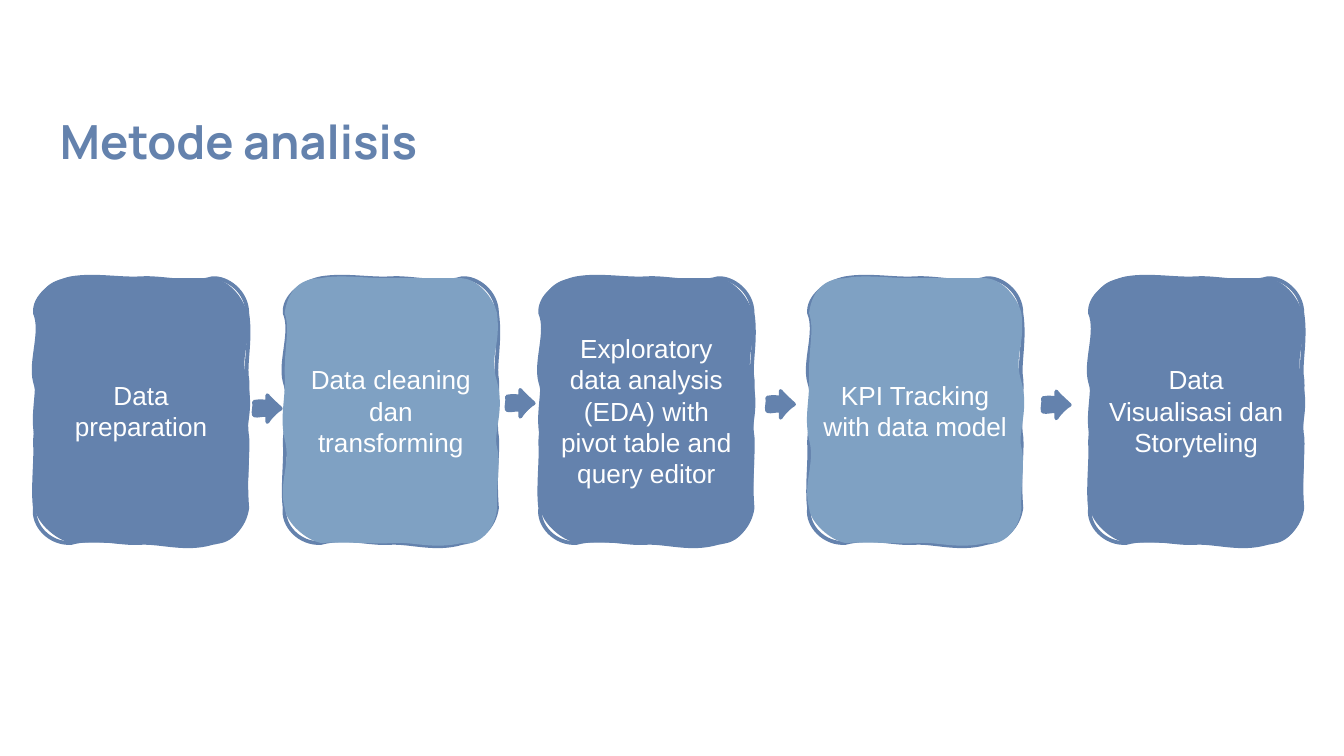
import pptx
import pptx.dml.color
import pptx.enum.text
import pptx.oxml
import pptx.oxml.ns
import pptx.util
from pptx.util import Cm

# Content: text, left edge in cm
TITLE = "Metode analisis"
STEPS = [
    ("Data preparation", 0.66),
    ("Data cleaning dan transforming", 5.38),
    ("Exploratory data analysis (EDA) with pivot table and query editor", 10.21),
    ("KPI Tracking with data model", 15.29),
    ("Data Visualisasi dan Storyteling", 20.6),
]
ARROWS = [(4.8, 7.47), (9.58, 7.37), (14.5, 7.39), (19.71, 7.4)]  # left, top
STEP_TOP = 5.26
BLUE, LIGHT_BLUE, WHITE = "6482AD", "7FA1C3", "FFFFFF"

# Hand-drawn outlines on a grid of 0.0254 cm: each curve is two controls and an end
UNIT = Cm(0.0254)
CARD = {
    "size": (158, 197),
    "start": (0, 26),
    "stroke": [
        (-1, 14, 12, 3, 27, 0), (45, -3, 63, 1, 79, 0), (95, -1, 115, 5, 132, 0),
        (143, -1, 158, 10, 158, 26), (161, 46, 156, 64, 158, 75),
        (159, 85, 156, 107, 158, 118), (159, 130, 156, 146, 158, 171),
        (156, 185, 146, 195, 132, 197), (112, 203, 93, 196, 78, 197),
        (63, 198, 46, 192, 27, 197), (11, 198, -2, 184, 0, 171),
        (-2, 157, 1, 134, 0, 123), (0, 111, 5, 93, 0, 77), (-4, 62, 6, 40, 0, 26),
    ],
    "fill": [
        (2, 11, 10, 0, 27, 0), (40, -3, 61, 0, 76, 0), (91, 0, 115, 0, 132, 0),
        (144, 1, 155, 14, 158, 26), (161, 51, 152, 57, 158, 77),
        (164, 98, 155, 115, 158, 126), (161, 136, 157, 159, 158, 171),
        (157, 187, 144, 200, 132, 197), (111, 202, 95, 196, 81, 197),
        (67, 198, 49, 196, 27, 197), (16, 195, 1, 182, 0, 171),
        (-5, 152, 5, 138, 0, 120), (-4, 102, 1, 91, 0, 70), (0, 49, 4, 38, 0, 26),
    ],
}
ARROW = {
    "size": (20, 20),
    "start": (0, 5),
    "stroke": [
        (5, 4, 9, 5, 10, 5), (10, 3, 10, 1, 10, 0), (11, 2, 18, 8, 20, 10),
        (18, 11, 13, 15, 10, 20), (10, 19, 10, 17, 10, 15),
        (7, 14, 3, 16, 0, 15), (-1, 12, 1, 8, 0, 5),
    ],
    "fill": [
        (4, 5, 8, 5, 10, 5), (10, 4, 10, 1, 10, 0), (12, 4, 18, 9, 20, 10),
        (16, 15, 13, 18, 10, 20), (10, 18, 10, 16, 10, 15),
        (7, 14, 1, 15, 0, 15), (-1, 11, 0, 9, 0, 5),
    ],
}


def color(hex_value):
    return pptx.dml.color.RGBColor.from_string(hex_value)


def curve_path(outline, part):
    """Return one closed a:path, either stroked only or filled only."""
    def point(x, y):
        return f'<a:pt x="{x}" y="{y}"/>'

    width, height = outline["size"]
    paint = 'fill="none"' if part == "stroke" else 'stroke="0"'
    curves = "".join(
        "<a:cubicBezTo>"
        + "".join(point(*curve[i:i + 2]) for i in (0, 2, 4))
        + "</a:cubicBezTo>"
        for curve in outline[part]
    )
    return pptx.oxml.parse_xml(
        f'<a:path {pptx.oxml.ns.nsdecls("a")} w="{width}" h="{height}" {paint}>'
        f'<a:moveTo>{point(*outline["start"])}</a:moveTo>{curves}<a:close/></a:path>'
    )


def add_sketch(slide, outline, left, top, fill):
    """Add a freeform whose straight frame is replaced by the sketched curves."""
    width, height = outline["size"]
    builder = slide.shapes.build_freeform(0, 0, scale=UNIT)
    builder.add_line_segments([(width, 0), (width, height), (0, height)])
    shape = builder.convert_to_shape(Cm(left), Cm(top))
    path_list = shape.element.find(".//" + pptx.oxml.ns.qn("a:pathLst"))
    path_list[:] = [curve_path(outline, part) for part in ("stroke", "fill")]
    shape.shadow.inherit = False
    shape.fill.solid()
    shape.fill.fore_color.rgb = color(fill)
    shape.line.color.rgb = color(BLUE)
    shape.line.width = pptx.util.Pt(2)
    return shape


def set_text(shape, text, size, font_name, hex_value, alignment, bold=False):
    frame = shape.text_frame
    frame.text = text
    frame.word_wrap = True
    frame.auto_size = pptx.enum.text.MSO_AUTO_SIZE.NONE
    frame.vertical_anchor = pptx.enum.text.MSO_ANCHOR.MIDDLE
    frame.margin_left = frame.margin_right = Cm(0.25)
    frame.margin_top = frame.margin_bottom = Cm(0.25)
    paragraph = frame.paragraphs[0]
    paragraph.alignment = alignment
    font = paragraph.runs[0].font
    font.size = pptx.util.Pt(size)
    font.name = font_name
    font.bold = bold
    font.color.rgb = color(hex_value)


def main():
    presentation = pptx.Presentation()
    presentation.slide_width, presentation.slide_height = Cm(25.4), Cm(14.29)
    slide = presentation.slides.add_slide(presentation.slide_layouts[5])
    align = pptx.enum.text.PP_ALIGN

    # Title
    title = slide.shapes.title
    title.left, title.top, title.width, title.height = Cm(0.88), Cm(1.86), Cm(15.24), Cm(1.6)
    set_text(title, TITLE, 25.2, "Manrope", BLUE, align.LEFT, bold=True)

    # Steps in alternating blues
    for index, (text, left) in enumerate(STEPS):
        card = add_sketch(slide, CARD, left, STEP_TOP, (BLUE, LIGHT_BLUE)[index % 2])
        set_text(card, text, 14, "Arial", WHITE, align.CENTER)

    # Arrows between the steps
    for left, top in ARROWS:
        add_sketch(slide, ARROW, left, top, BLUE)

    presentation.save("out.pptx")


if __name__ == "__main__":
    main()
